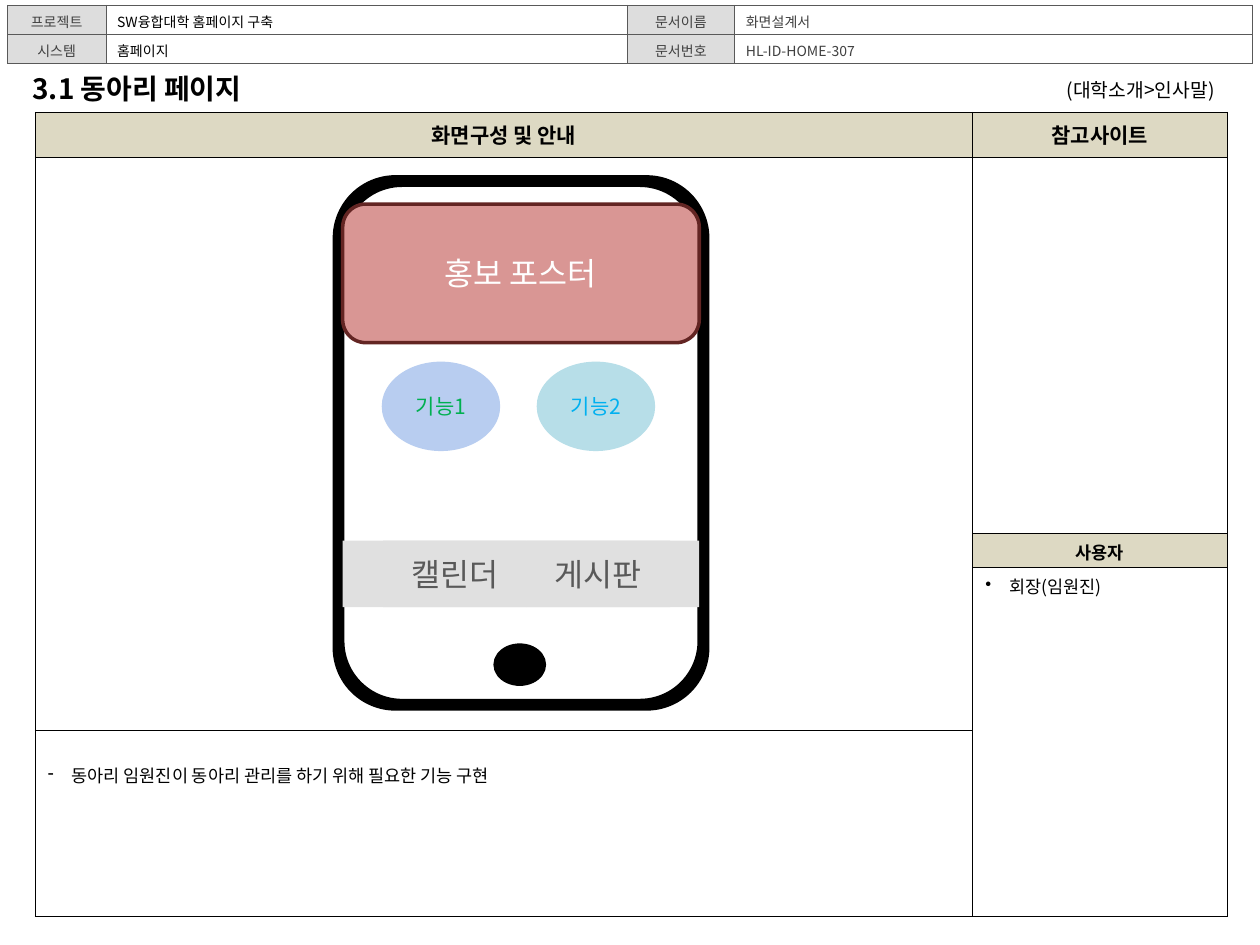
from lxml import etree
from pptx import Presentation
from pptx.dml.color import RGBColor
from pptx.enum.shapes import MSO_SHAPE as Shape
from pptx.enum.text import MSO_ANCHOR as Anchor, MSO_AUTO_SIZE as AutoSize, PP_ALIGN as Align
from pptx.oxml.ns import qn
from pptx.util import Inches, Pt

BLACK = RGBColor(0x00, 0x00, 0x00)
WHITE = RGBColor(0xFF, 0xFF, 0xFF)
DARK_GRAY = RGBColor(0x40, 0x40, 0x40)
MID_GRAY = RGBColor(0x59, 0x59, 0x59)
LABEL_GRAY = RGBColor(0xDD, 0xDD, 0xDD)
MENU_GRAY = RGBColor(0xE0, 0xE0, 0xE0)
BEIGE = RGBColor(0xDD, 0xD9, 0xC3)
ROSE = RGBColor(0xD9, 0x96, 0x94)
MAROON = RGBColor(0x63, 0x25, 0x23)
PALE_BLUE = RGBColor(0xB8, 0xCD, 0xF0)
PALE_TEAL = RGBColor(0xB7, 0xDE, 0xE8)
GREEN = RGBColor(0x00, 0xB0, 0x50)
SKY = RGBColor(0x00, 0xB0, 0xF0)


class ScreenSpec:
    font_name = "Noto Sans CJK KR"

    def __init__(self, slide):
        self.slide = slide

    def set_text(self, frame, text, size, color=BLACK, bold=False, align=Align.LEFT, bullet=None):
        paragraph = frame.paragraphs[0]
        paragraph.text = text
        paragraph.alignment = align
        font = paragraph.font
        font.size, font.bold, font.name = Pt(size), bold, self.font_name
        font.color.rgb = color
        properties = paragraph._p.get_or_add_pPr()
        east_asian = etree.SubElement(properties.find(qn("a:defRPr")), qn("a:ea"))
        east_asian.set("typeface", self.font_name)
        if bullet:
            indent = Inches(0.19)
            properties.set("marL", str(indent))
            properties.set("indent", str(-indent))
            mark = etree.Element(qn("a:buChar"), char=bullet)
            properties.insert(0, mark)

    def text(self, box, text, size, wrap=True, **style):
        frame = self.slide.shapes.add_textbox(*map(Inches, box)).text_frame
        frame.word_wrap = wrap
        frame.auto_size = AutoSize.SHAPE_TO_FIT_TEXT
        self.set_text(frame, text, size, **style)

    def shape(self, kind, box, fill, line=None, text=None, size=18, color=WHITE, group=None):
        shapes = (group or self.slide).shapes
        shape = shapes.add_shape(kind, *map(Inches, box))
        shape.shadow.inherit = False
        shape.fill.solid()
        shape.fill.fore_color.rgb = fill
        if line is None:
            shape.line.fill.background()
        else:
            shape.line.color.rgb = line
            shape.line.width = Pt(2)
        if text:
            frame = shape.text_frame
            frame.margin_left = frame.margin_right = 0
            frame.vertical_anchor = Anchor.MIDDLE
            self.set_text(frame, text, size, color, align=Align.CENTER)

    def border(self, cell, color, width):
        properties = cell._tc.get_or_add_tcPr()
        for position, side in enumerate("LRTB"):
            line = etree.Element(qn(f"a:ln{side}"), w=str(Pt(width)))
            fill = etree.SubElement(line, qn("a:solidFill"))
            etree.SubElement(fill, qn("a:srgbClr"), val=str(color))
            properties.insert(position, line)

    def table(self, box, columns, rows, line, width):
        frame = self.slide.shapes.add_table(len(rows), len(columns), *map(Inches, box))
        table = frame.table
        table.first_row = table.horz_banding = False
        for column, size in zip(table.columns, columns):
            column.width = Inches(size)
        for row, size in zip(table.rows, rows):
            row.height = Inches(size)
        for cell in table.iter_cells():
            cell.margin_bottom = 0
            cell.fill.background()
            self.border(cell, line, width)
        return table

    def cell(self, cell, text, size, fill=None, **style):
        if fill is not None:
            cell.fill.solid()
            cell.fill.fore_color.rgb = fill
        self.set_text(cell.text_frame, text, size, **style)


def main():
    prs = Presentation()
    prs.slide_width, prs.slide_height = Inches(10), Inches(7.5)
    spec_page = ScreenSpec(prs.slides.add_slide(prs.slide_layouts[6]))

    # Document header
    header = spec_page.table((0.06, 0.04, 9.88, 0.47), (0.78, 4.14, 0.85, 4.11),
                             (0.23, 0.23), MID_GRAY, 0.25)
    header_rows = (("프로젝트", "SW융합대학 홈페이지 구축", "문서이름", "화면설계서"),
                   ("시스템", "홈페이지", "문서번호", "HL-ID-HOME-307"))
    label = dict(fill=LABEL_GRAY, color=DARK_GRAY, align=Align.CENTER)
    header_styles = (label, dict(fill=WHITE), label, dict(color=DARK_GRAY))
    for r, texts in enumerate(header_rows):
        for c, (text, style) in enumerate(zip(texts, header_styles)):
            cell = header.cell(r, c)
            cell.margin_left = cell.margin_right = Inches(0.09)
            spec_page.cell(cell, text, 8, **style)

    # Screen layout table
    layout = spec_page.table((0.28, 0.89, 9.46, 6.38), (7.44, 2.02),
                             (0.36, 2.98, 0.27, 1.3, 1.47), BLACK, 0.5)
    heading = dict(fill=BEIGE, bold=True, align=Align.CENTER)
    for c, text in enumerate(("화면구성 및 안내", "참고사이트")):
        cell = layout.cell(0, c)
        cell.margin_bottom = Inches(0.05)
        cell.vertical_anchor = Anchor.MIDDLE
        spec_page.cell(cell, text, 12, **heading)
    spec_page.cell(layout.cell(2, 1), "사용자", 10, **heading)
    spec_page.cell(layout.cell(3, 1), "회장(임원진)", 10, bullet="•")
    description = layout.cell(4, 0)
    description.margin_top = Inches(0.25)
    spec_page.cell(description, "동아리 임원진이 동아리 관리를 하기 위해 필요한 기능 구현", 10, bullet="-")
    layout.cell(1, 0).merge(layout.cell(3, 0))
    layout.cell(3, 1).merge(layout.cell(4, 1))

    # Page title and menu location
    spec_page.text((0.16, 0.52, 2.1, 0.37), "3.1 동아리 페이지", 16, wrap=False, bold=True)
    spec_page.text((3.1, 0.57, 6.64, 0.29), "(대학소개>인사말)", 11, align=Align.RIGHT)

    # Phone body
    phone = spec_page.slide.shapes.add_group_shape()
    spec_page.shape(Shape.ROUNDED_RECTANGLE, (2.64, 1.39, 2.99, 4.25), BLACK, group=phone)
    spec_page.shape(Shape.ROUNDED_RECTANGLE, (2.72, 1.47, 2.83, 4.09), WHITE, BLACK, group=phone)
    spec_page.shape(Shape.OVAL, (3.93, 5.12, 0.39, 0.31), BLACK, BLACK, group=phone)

    # Poster and function buttons
    spec_page.shape(Shape.ROUNDED_RECTANGLE, (2.72, 1.62, 2.83, 1.1), ROSE, MAROON, "홍보 포스터")
    for left, text, fill, color in ((3.03, "기능1", PALE_BLUE, GREEN),
                                    (4.26, "기능2", PALE_TEAL, SKY)):
        spec_page.shape(Shape.OVAL, (left, 2.87, 0.94, 0.71), fill, text=text, size=12, color=color)

    # Bottom menu
    spec_page.shape(Shape.RECTANGLE, (2.72, 4.29, 2.83, 0.53), MENU_GRAY)
    for i, text in enumerate(("캘린더", "게시판")):
        spec_page.shape(Shape.RECTANGLE, (3.04 + 1.14 * i, 4.29, 1.14, 0.53), MENU_GRAY,
                        text=text, color=MID_GRAY)

    prs.save("out.pptx")


if __name__ == "__main__":
    main()
